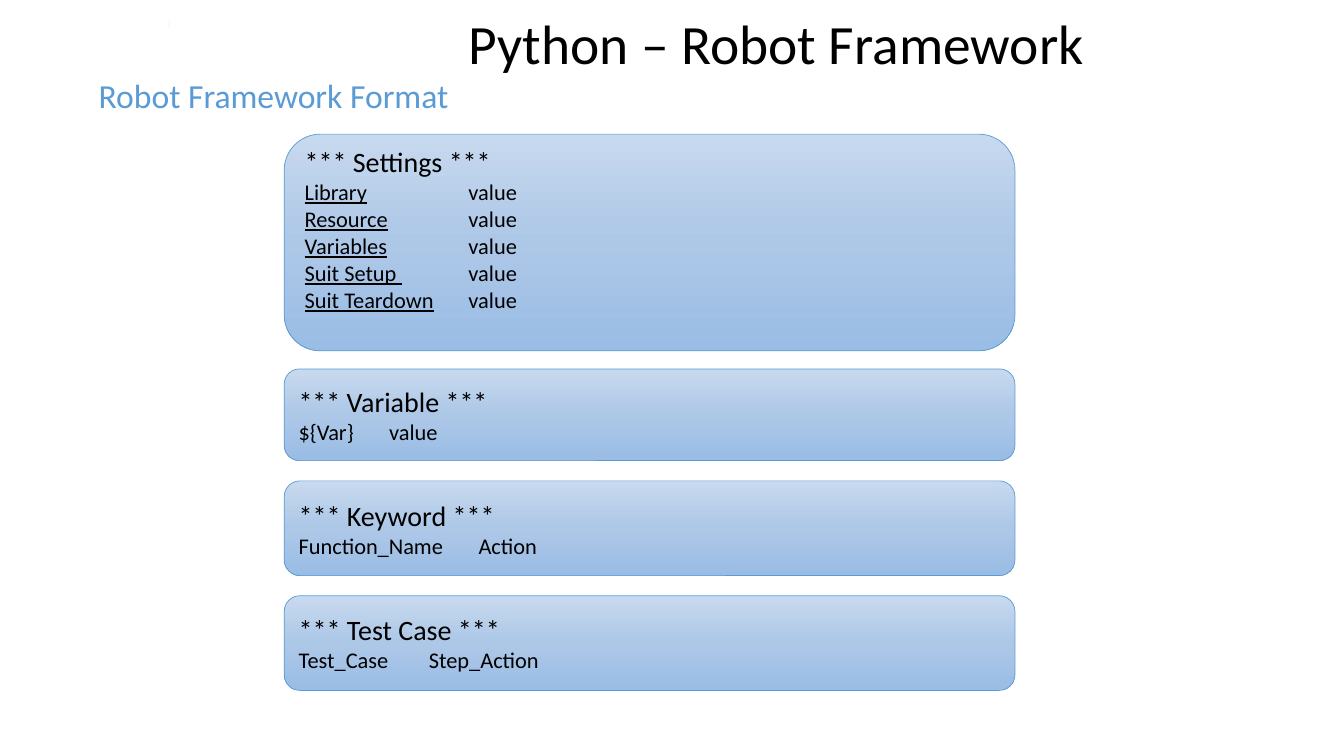
from copy import deepcopy

from lxml.etree import SubElement
from pptx import Presentation
from pptx.dml.color import RGBColor
from pptx.enum.shapes import MSO_SHAPE
from pptx.enum.text import MSO_ANCHOR, PP_ALIGN
from pptx.oxml.ns import qn
from pptx.util import Pt


def rgb(code):
    return RGBColor.from_string(code)


def add_text(paragraph, text, size=16, color="000000", font="Calibri", underline=False):
    run = paragraph.add_run()
    run.text = text
    run.font.name = font
    run.font.size = Pt(size)
    run.font.color.rgb = rgb(color)
    run.font.underline = underline


class FormatSlide:
    ACCENT = "5B9BD5"
    GRADIENT = [(0, "C7D9EE"), (0.5, "ADC7E7"), (1, "9ABDE5")]
    SECTION_LEFT, SECTION_WIDTH = 203, 522

    def __init__(self, slide):
        self.slide = slide

    def label(self, box, text, spacing, anchor=MSO_ANCHOR.TOP, **style):
        frame = self.slide.shapes.add_textbox(*map(Pt, box)).text_frame
        frame.word_wrap = True
        frame.vertical_anchor = anchor
        frame.paragraphs[0].line_spacing = spacing
        add_text(frame.paragraphs[0], text, **style)

    def shape(self, kind, box):
        shape = self.slide.shapes.add_shape(kind, *map(Pt, box))
        shape.shadow.inherit = False
        return shape

    def mark(self, box, color):
        mark = self.shape(MSO_SHAPE.RECTANGLE, box)
        mark.fill.solid()
        mark.fill.fore_color.rgb = rgb(color)
        mark.line.fill.background()

    def paint_gradient(self, shape):
        shape.fill.gradient()
        shape.fill.gradient_angle = 270  # counter-clockwise: top to bottom
        stop_list = shape._element.spPr.find(qn("a:gradFill")).find(qn("a:gsLst"))
        stop_list.append(deepcopy(stop_list[0]))
        for stop, (position, color) in zip(shape.fill.gradient_stops, self.GRADIENT):
            stop.position = position
            stop.color.rgb = rgb(color)

    def section(self, top, height, heading, rows, tab, underline=False, bottom=3.6):
        panel = self.shape(MSO_SHAPE.ROUNDED_RECTANGLE,
                           (self.SECTION_LEFT, top, self.SECTION_WIDTH, height))
        self.paint_gradient(panel)
        panel.line.color.rgb = rgb(self.ACCENT)
        panel.line.width = Pt(0.5)

        frame = panel.text_frame
        frame.word_wrap = True
        frame.vertical_anchor = MSO_ANCHOR.MIDDLE
        frame.margin_bottom = Pt(bottom)
        frame.paragraphs[0].alignment = PP_ALIGN.LEFT
        add_text(frame.paragraphs[0], f"*** {heading} ***", size=20)
        for name, value in rows:
            row = frame.add_paragraph()
            row.alignment = PP_ALIGN.LEFT
            # Tab stop that lines up the second column
            tabs = SubElement(row._p.get_or_add_pPr(), qn("a:tabLst"))
            SubElement(tabs, qn("a:tab"), pos=str(Pt(tab)), algn="l")
            add_text(row, name, underline=underline)
            add_text(row, "\t" + value)


def main():
    presentation = Presentation()
    presentation.slide_width, presentation.slide_height = Pt(960), Pt(540)
    page = FormatSlide(presentation.slides.add_slide(presentation.slide_layouts[6]))

    # Headings
    page.label((63.4, 35.3, 707, 46), "Robot Framework Format", 1.5,
               size=24, color=page.ACCENT)
    page.label((327.6, 16.5, 500.4, 34), "Python – Robot Framework", 0.9,
               anchor=MSO_ANCHOR.MIDDLE, size=39.6)

    # File sections
    settings = ["Library", "Resource", "Variables", "Suit Setup ", "Suit Teardown"]
    page.section(95.8, 154.8, "Settings", [(name, "value") for name in settings],
                 tab=117, underline=True, bottom=23)
    page.section(263.5, 65.5, "Variable", [("${Var}", "value")], tab=64.7)
    page.section(343.5, 67.7, "Keyword", [("Function_Name", "Action")], tab=128.5)
    page.section(425.5, 67.7, "Test Case", [("Test_Case", "Step_Action")], tab=93)

    # Pale mark at the top left
    page.mark((120.2, 15.1, 1.4, 5), "F8F9FA")

    presentation.save("out.pptx")


if __name__ == "__main__":
    main()
